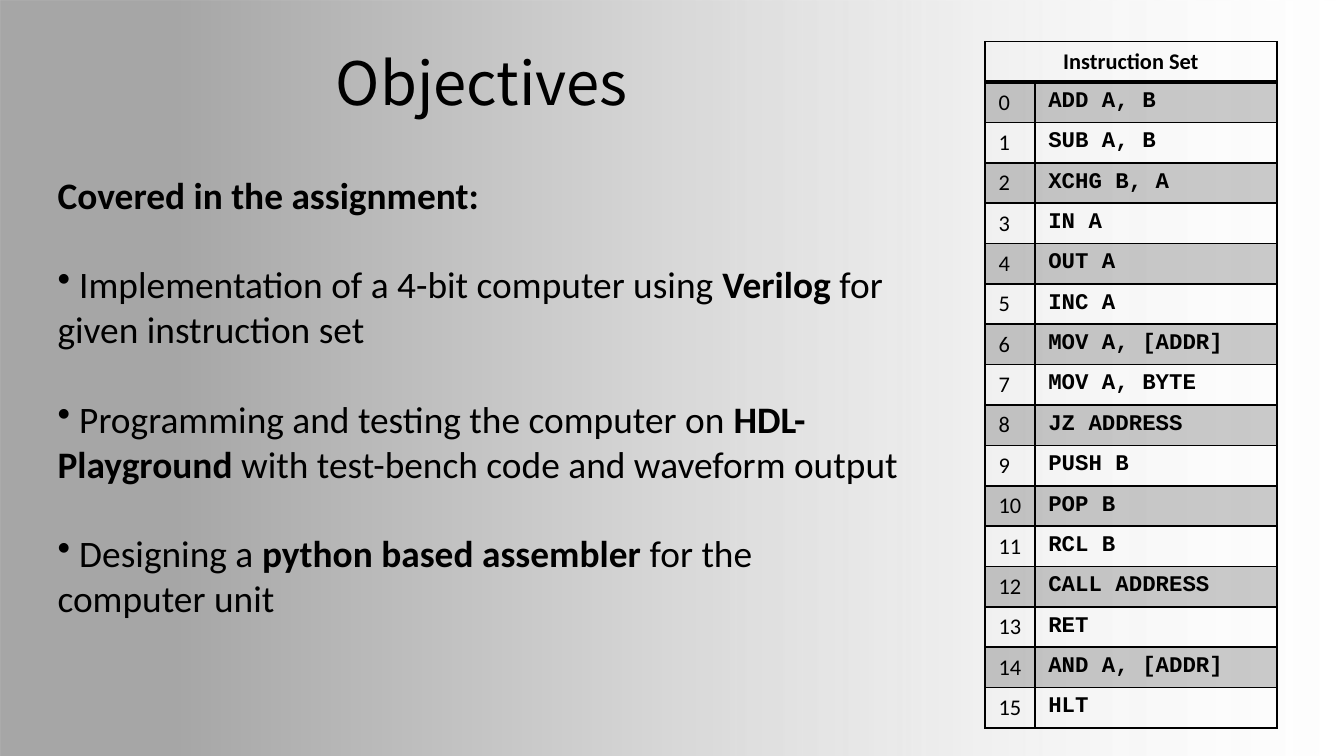
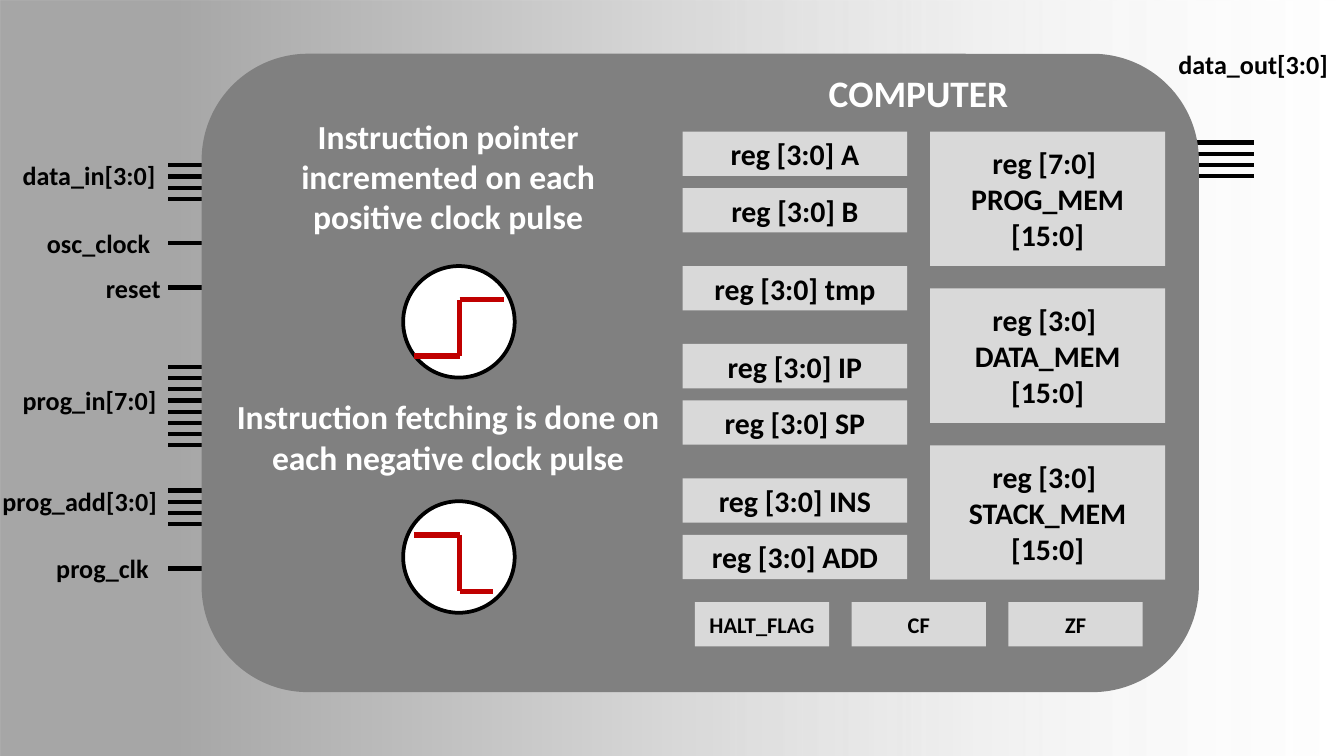
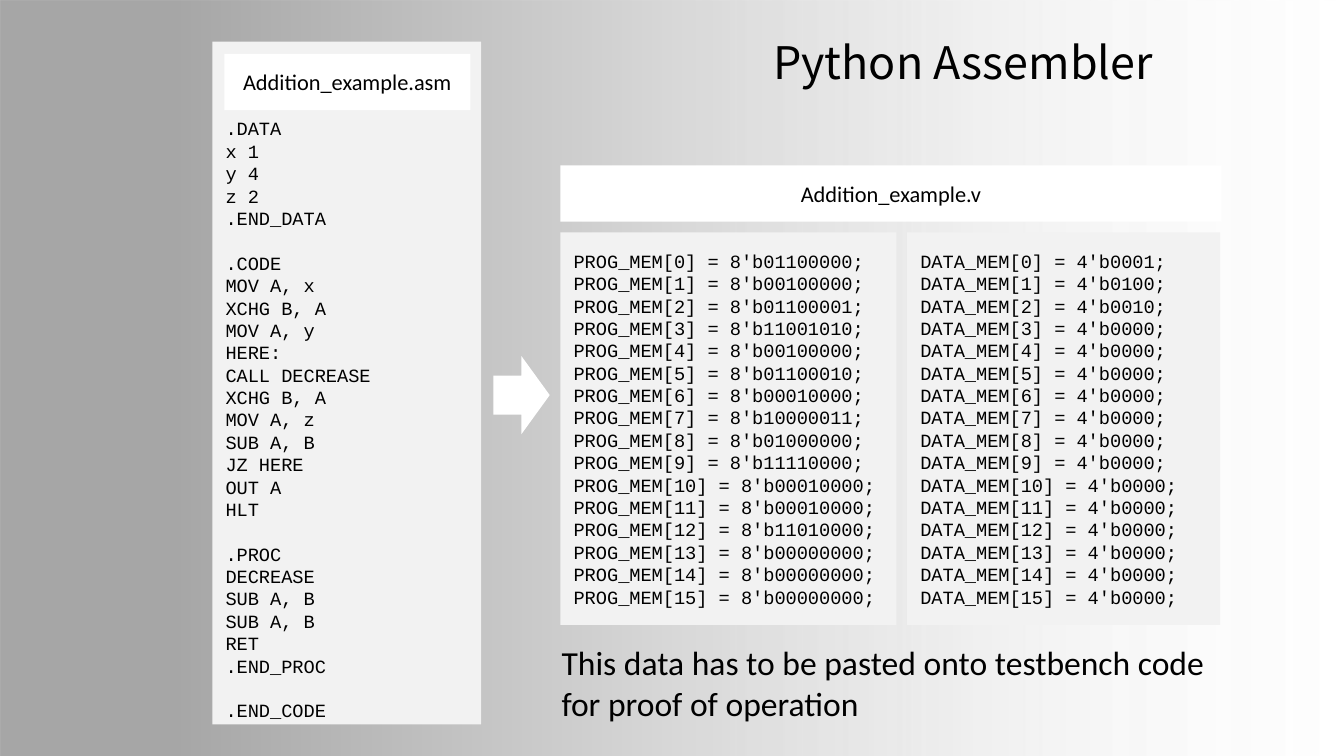
from lxml import etree
from pptx import Presentation
from pptx.dml.color import RGBColor
from pptx.enum import shapes, text
from pptx.oxml import parse_xml
from pptx.oxml.ns import nsdecls, qn
from pptx.util import Inches, Pt

C = {"black": "000000", "white": "FFFFFF", "grey": "808080", "block": "D9D9D9",
     "panel": "F2F2F2", "edge": "A6A6A6", "pulse": "C00000"}
SANS, MONO, TITLE = "Calibri", "Courier New", "Noto Sans CJK SC"
RECT = shapes.MSO_SHAPE.RECTANGLE
LEFT, CENTER = text.PP_ALIGN.LEFT, text.PP_ALIGN.CENTER


def box(parent, kind, at, fill=None, lines=(), size=12, font=SANS, color="black",
        bold=False, align=CENTER, pitch=None):
    """Add a preset shape, or a text box if kind is None, with one paragraph a line."""
    at = [Inches(v) for v in at]
    if kind is None:
        sp = parent.add_textbox(*at)
    else:
        sp = parent.add_shape(kind, *at)
        sp.shadow.inherit = False
        sp.line.fill.background()
        if fill:
            sp.fill.solid()
            sp.fill.fore_color.rgb = RGBColor.from_string(C[fill])
    tf = sp.text_frame
    tf.word_wrap = True
    for i, line in enumerate(lines):
        p = tf.add_paragraph() if i else tf.paragraphs[0]
        p.text, p.alignment, p.line_spacing = line, align, pitch
        p.font.name, p.font.size, p.font.bold = font, Pt(size), bold
        p.font.color.rgb = RGBColor.from_string(C[color])
    return sp


def stroke(parent, x1, y1, x2, y2, color="black", width=2.25):
    cn = parent.add_connector(shapes.MSO_CONNECTOR.STRAIGHT,
                              *[Inches(v) for v in (x1, y1, x2, y2)])
    cn.line.color.rgb = RGBColor.from_string(C[color])
    cn.line.width = Pt(width)
    etree.SubElement(cn._element.spPr, qn("a:effectLst"))


prs = Presentation()
prs.slide_width, prs.slide_height = Inches(10), Inches(5.625)

# Shared background and titles
slides = []
for title, at, size in [("Objectives", (0, 0.15, 7.17, 0.92), 32),
                        (None, None, None),
                        ("Python Assembler", (4.33, 0, 5.67, 0.92), 24)]:
    s = prs.slides.add_slide(prs.slide_layouts[5 if title else 6])
    sp = box(s.shapes, RECT, (0, 0, 10, 5.625))
    sp.fill.gradient()
    sp.fill.gradient_angle = 0
    stops = sp._element.spPr.find(qn("a:gradFill")).find(qn("a:gsLst"))
    for gs in list(stops):
        stops.remove(gs)
    for pos, color, alpha in [(13, "edge", 100), (51, "block", 100), (100, "white", 34)]:
        gs = etree.SubElement(stops, qn("a:gs"), pos=str(pos * 1000))
        clr = etree.SubElement(gs, qn("a:srgbClr"), val=C[color])
        etree.SubElement(clr, qn("a:alpha"), val=str(alpha * 1000))
    s.shapes._spTree.insert(2, sp._element)
    if title:
        sp = s.shapes.title
        sp.left, sp.top, sp.width, sp.height = [Inches(v) for v in at]
        tf = sp.text_frame
        tf.text = title
        tf.vertical_anchor = text.MSO_ANCHOR.MIDDLE
        p = tf.paragraphs[0]
        p.alignment = CENTER
        p.font.name, p.font.size = TITLE, Pt(size)
        p.font.color.rgb = RGBColor.from_string(C["black"])
    slides.append(s)

# Slide 1: objectives, runs alternate between regular and bold
s = slides[0]
sp = box(s.shapes, None, (0.33, 1.23, 6.5, 3.8), None, ["Covered in the assignment:"],
         20, bold=True, align=LEFT)
for runs in [
    (" Implementation of a 4-bit computer using ", "Verilog", " for given instruction set"),
    (" Programming and testing the computer on ", "HDL-Playground ",
     "with test-bench code and waveform output"),
    (" Designing a ", "python based assembler ", "for the computer unit"),
]:
    p = sp.text_frame.add_paragraph()
    p.space_before = Pt(24)
    p.font.name, p.font.size = SANS, Pt(20)
    p.font.color.rgb = RGBColor.from_string(C["black"])
    bullet = etree.Element(qn("a:buChar"), char="•")
    p._p.get_or_add_pPr().find(qn("a:defRPr")).addprevious(bullet)
    for i, words in enumerate(runs):
        r = p.add_run()
        r.text, r.font.bold = words, i == 1

# Slide 1: instruction set table
codes = ["ADD A, B", "SUB A, B", "XCHG B, A", "IN A", "OUT A", "INC A", "MOV A, [ADDR]",
         "MOV A, BYTE", "JZ ADDRESS", "PUSH B", "POP B", "RCL B", "CALL ADDRESS", "RET",
         "AND A, [ADDR]", "HLT"]
rows = [("Instruction Set", "")] + [(str(i), code) for i, code in enumerate(codes)]
tbl = s.shapes.add_table(len(rows), 2, Inches(7.33), Inches(0.31),
                         Inches(2.17), Inches(5.1)).table
tbl.first_row = tbl.horz_banding = False
tbl.columns[0].width, tbl.columns[1].width = Inches(0.37), Inches(1.8)
tbl.cell(0, 0).merge(tbl.cell(0, 1))
for i, row in enumerate(rows):
    tbl.rows[i].height = Inches(0.3)
    for j, words in enumerate(row):
        cell = tbl.cell(i, j)
        p = cell.text_frame.paragraphs[0]
        p.text = words
        p.alignment = text.PP_ALIGN.JUSTIFY if i else CENTER
        p.font.name, p.font.size = MONO if i and j else SANS, Pt(12)
        p.font.bold = i == 0 or j == 1
        p.font.color.rgb = RGBColor.from_string(C["black"])
        tcPr = cell._tc.get_or_add_tcPr()
        if i % 2:
            cell.fill.solid()
            cell.fill.fore_color.rgb = RGBColor.from_string(C["black"])
            clr = tcPr.find(qn("a:solidFill"))[0]
            etree.SubElement(clr, qn("a:alpha"), val="20000")
        else:
            cell.fill.background()
        for k, side in enumerate("LRTB"):
            heavy = (i, side) in [(0, "B"), (1, "T")]
            tcPr.insert(k, parse_xml(
                f'<a:ln{side} {nsdecls("a")} w="{Pt(2 if heavy else 1)}"><a:solidFill>'
                f'<a:srgbClr val="{C["black"]}"/></a:solidFill></a:ln{side}>'))

# Slide 2: pins, one line a bit
sh = slides[1].shapes
for x, y, bits in [(1.25, 1.23, 4), (8.75, 1.06, 4), (1.25, 1.81, 1), (1.25, 2.14, 1),
                   (1.25, 2.73, 8), (1.25, 3.65, 4), (1.25, 4.23, 1)]:
    for bit in range(bits):
        stroke(sh, x + 0.58, y + bit / 12, x, y + bit / 12)
for words, x, y, w in [("data_in[3:0]", 0.07, 1.14, 1.68), ("data_out[3:0]", 8.67, 0.31, 1.68),
                       ("osc_clock", 0.25, 1.64, 1.42), ("reset", 0.69, 1.98, 0.9),
                       ("prog_in[7:0]", 0.07, 2.81, 1.68),
                       ("prog_add[3:0]", -0.08, 3.56, 1.68),
                       ("prog_clk", 0.32, 4.06, 1.68)]:
    box(sh, None, (x, y, w, 0.34), None, [words], 14, bold=True, align=LEFT)

# Slide 2: computer body with registers, memories and flags
box(sh, shapes.MSO_SHAPE.ROUNDED_RECTANGLE, (1.5, 0.4, 7.42, 4.75), "grey")
sp = box(sh, None, (5.67, 0.48, 2.33, 0.42), None, ["COMPUTER"], 20,
         color="white", bold=True)
sp.text_frame.vertical_anchor = text.MSO_ANCHOR.MIDDLE
for name, y in [("A", 0.98), ("B", 1.4), ("tmp", 1.98), ("IP", 2.56), ("SP", 2.98),
                ("INS", 3.56), ("ADD", 3.98)]:
    box(sh, RECT, (5.08, y, 1.67, 0.33), "block", [f"reg [3:0] {name}"], 16, bold=True)
for i, (name, top_bit) in enumerate([("PROG", 7), ("DATA", 3), ("STACK", 3)]):
    box(sh, RECT, (6.92, 0.98 + i * 7 / 6, 1.75, 1), "block",
        [f"reg [{top_bit}:0] ", f"{name}_MEM", "[15:0]"], 16, bold=True)
for i, name in enumerate(["HALT_FLAG", "CF", "ZF"]):
    box(sh, RECT, (5.17 + i * 7 / 6, 4.48, 1, 0.33), "block", [name], 12, bold=True)

# Slide 2: clock edges
for words, at, top, before, after, end in [
    ("Instruction pointer incremented on each positive clock pulse",
     (1.75, 0.81, 3.17, 1.01), 1.98, 2.65, 2.23, 3.75),
    ("Instruction fetching is done on each negative clock pulse",
     (1.5, 2.9, 3.67, 0.71), 3.73, 3.98, 4.4, 3.67),
]:
    box(sh, None, at, None, [words], 18, color="white", bold=True)
    grp = sh.add_group_shape().shapes
    sp = box(grp, shapes.MSO_SHAPE.OVAL, (3, top, 0.83, 0.83), "white")
    sp.line.color.rgb = RGBColor.from_string(C["black"])
    sp.line.width = Pt(2)
    for ends in [(3.08, before, 3.42, before), (3.42, after, end, after),
                 (3.42, min(before, after), 3.42, max(before, after))]:
        stroke(grp, *ends, "pulse", 3)

# Slide 3: memory listings
sh = slides[2].shapes
prog = ["01100000", "00100000", "01100001", "11001010", "00100000", "01100010", "00010000",
        "10000011", "01000000", "11110000", "00010000", "00010000", "11010000"]
prog += ["00000000"] * 3
data = ["0001", "0100", "0010"] + ["0000"] * 13
for name, words, x, w in [("PROG", prog, 4.17, 2.5), ("DATA", data, 6.75, 2.33)]:
    lines = [f"{name}_MEM[{i}] = {len(b)}'b{b};" for i, b in enumerate(words)]
    box(sh, RECT, (x, 1.73, w, 2.92), "panel", lines, 10, MONO, align=LEFT, pitch=Pt(12))

# Slide 3: assembly source, one paragraph a section
sections = [
    ".DATA\vx 1\vy 4\vz 2\v.END_DATA",
    ".CODE\vMOV A, x\vXCHG B, A\vMOV A, y\vHERE:\vCALL DECREASE\vXCHG B, A\vMOV A, z\v"
    "SUB A, B\vJZ HERE\vOUT A\vHLT",
    ".PROC\vDECREASE\vSUB A, B\vSUB A, B\vRET\v.END_PROC",
    ".END_CODE",
]
sp = box(sh, RECT, (1.58, 0.31, 2, 5.08), "panel", sections, 10, MONO, align=LEFT,
         pitch=Pt(12))
tf = sp.text_frame
tf.vertical_anchor = text.MSO_ANCHOR.BOTTOM
tf.margin_bottom = Inches(0.02)
for p in tf.paragraphs[1:]:
    p.space_before = Pt(12)

# Slide 3: file names, arrow and note
box(sh, RECT, (1.67, 0.4, 1.83, 0.42), "white", ["Addition_example.asm"])
box(sh, shapes.MSO_SHAPE.RIGHT_ARROW, (3.67, 2.65, 0.42, 0.58), "white")
box(sh, RECT, (4.17, 1.23, 4.92, 0.42), "white", ["Addition_example.v"])
box(sh, None, (4.08, 4.73, 5, 0.71), None,
    ["This data has to be pasted onto testbench code for proof of operation"], 18, align=LEFT)

prs.save("out.pptx")
